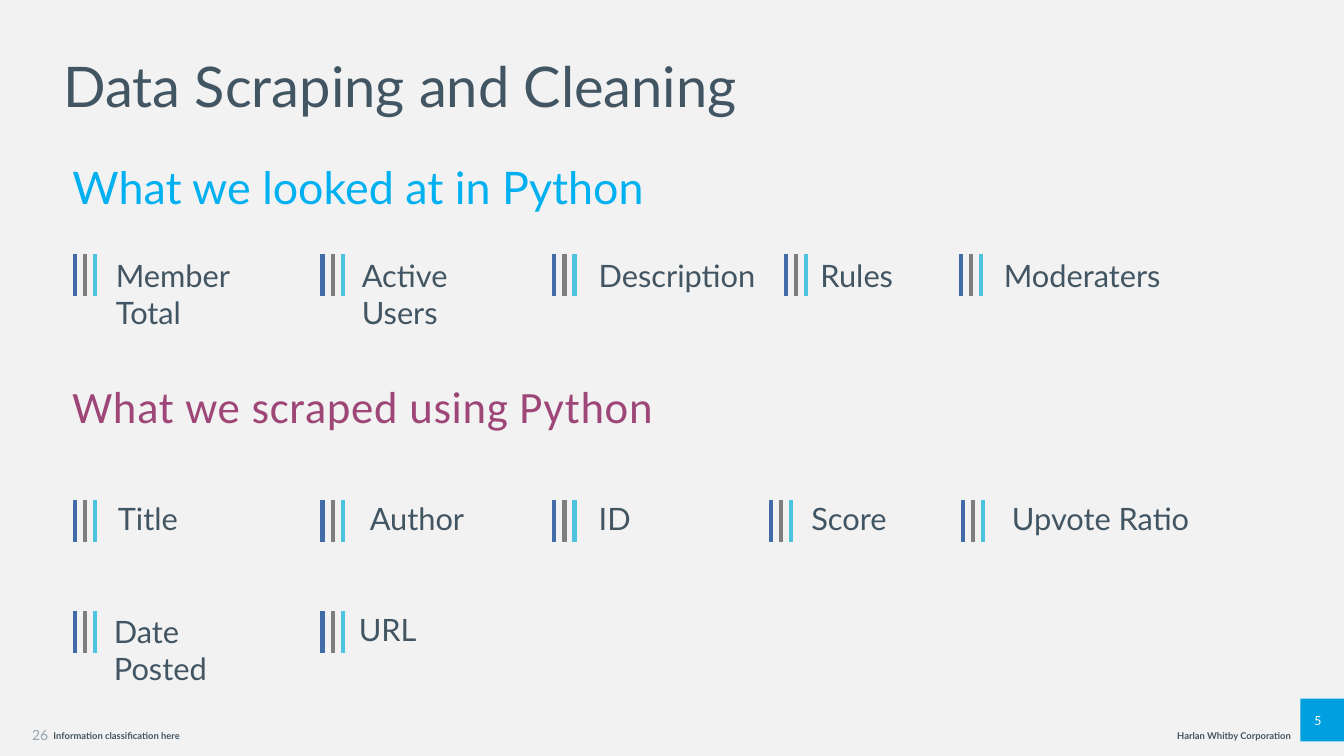
from dataclasses import dataclass

from pptx import Presentation
from pptx.dml.color import RGBColor
from pptx.enum.shapes import MSO_CONNECTOR, MSO_SHAPE
from pptx.enum.text import MSO_ANCHOR, MSO_AUTO_SIZE, PP_ALIGN
from pptx.oxml.ns import qn
from pptx.util import Pt

STRAIGHT, RECTANGLE = MSO_CONNECTOR.STRAIGHT, MSO_SHAPE.RECTANGLE
TOP, MIDDLE = MSO_ANCHOR.TOP, MSO_ANCHOR.MIDDLE
LEFT, RIGHT, NO_FIT = PP_ALIGN.LEFT, PP_ALIGN.RIGHT, MSO_AUTO_SIZE.NONE


# Content: all lengths in points
TITLE = "Data Scraping and Cleaning"
LOOKED_AT = "What we looked at in Python"
SCRAPED = "What we scraped using Python"
CLASSIFICATION = "Information classification here"
COMPANY = "Harlan Whitby Corporation"
TEMPLATE_NUMBER, PAGE_NUMBER = "26", "5"

# Each row: bars top, then (label, bars left, label left, label top, label width)
FIELD_ROWS = [
    (181.4, [("Member Total", 53.3, 82.8, 183.6, 126),
             ("Active Users", 230.4, 258.5, 183.6, 115.2),
             ("Description", 396, 427.7, 183.6, 115.2),
             ("Rules", 561.6, 586.1, 183.6, 115.2),
             ("Moderaters", 686.2, 717.1, 183.6, 115.2)]),
    (357.1, [("Title", 53.3, 84.2, 357.1, 115.2),
             ("Author", 230.4, 264.2, 357.1, 115.2),
             ("ID", 396, 427.7, 357.1, 115.2),
             ("Score", 550.8, 579.6, 357.1, 115.2),
             ("Upvote Ratio", 687.6, 722.9, 357.1, 160.6)]),
    (436.3, [("Date Posted", 53.3, 81.4, 437.8, 115.2),
             ("URL", 230.4, 256.3, 436.3, 115.2)]),
]
BAR_PITCH, BAR_HEIGHT, LABEL_HEIGHT = 7.2, 30.4, 37.4


@dataclass(frozen=True)
class Theme:
    background: str = "F2F2F2"
    ink: str = "425563"
    muted: str = "98A4AE"
    blue: str = "00B0F0"
    plum: str = "9E4677"
    badge: str = "009FDF"
    white: str = "FFFFFF"
    bars: tuple = ("426CA9", "7E7E7E", "4EC3DF")
    main_font: str = "Lato"
    second_font: str = "Calibri"
    title_size: float = 40
    heading_size: float = 32
    label_size: float = 22
    number_size: float = 10
    footer_size: float = 6.7
    bar_width: float = 3


THEME = Theme()


def rgb(value):
    return RGBColor.from_string(value)


def write(shape, text, size, color, font=THEME.main_font, bold=False, align=LEFT,
          anchor=TOP, line_spacing=None, tracking=None, inset=(0, 0), wrap=True):
    frame = shape.text_frame
    frame.auto_size = NO_FIT
    frame.word_wrap = wrap
    frame.vertical_anchor = anchor
    frame.margin_left = frame.margin_right = Pt(inset[0])
    frame.margin_top = frame.margin_bottom = Pt(inset[1])
    frame.text = text
    paragraph = frame.paragraphs[0]
    paragraph.alignment = align
    if line_spacing:
        paragraph.line_spacing = line_spacing
    paragraph.font.name, paragraph.font.size = font, Pt(size)
    paragraph.font.bold, paragraph.font.color.rgb = bold, rgb(color)
    if tracking:
        paragraph.runs[0].font._element.set("spc", str(tracking))


def add_text(slide, box, text, size, color, **style):
    write(slide.shapes.add_textbox(*map(Pt, box)), text, size, color, **style)


def add_bars(slide, left, top):
    marker = slide.shapes.add_group_shape()
    for i, color in enumerate(THEME.bars):
        x = Pt(left + i * BAR_PITCH)
        bar = marker.shapes.add_connector(STRAIGHT, x, Pt(top), x, Pt(top + BAR_HEIGHT))
        bar.line.color.rgb = rgb(color)
        bar.line.width = Pt(THEME.bar_width)
        properties = bar._element.spPr
        properties.append(properties.makeelement(qn("a:effectLst"), {}))


def main():
    deck = Presentation()
    deck.slide_width, deck.slide_height = Pt(960), Pt(540)
    slide = deck.slides.add_slide(deck.slide_layouts[5])
    slide.background.fill.solid()
    slide.background.fill.fore_color.rgb = rgb(THEME.background)

    # Title and section headings
    heading = {"line_spacing": 0.9, "inset": (7.2, 3.6)}
    title = slide.shapes.title
    title.left, title.top, title.width, title.height = map(Pt, (38.2, 38.9, 884.9, 72))
    write(title, TITLE, THEME.title_size, THEME.ink, **heading)
    add_text(slide, (44.6, 115.2, 884.9, 72), LOOKED_AT,
             THEME.heading_size, THEME.blue, **heading)
    add_text(slide, (44.6, 271.4, 884.9, 72), SCRAPED, THEME.heading_size, THEME.plum,
             font=THEME.second_font, tracking=50, **heading)

    # Field names, each with its three bars
    for bars_top, fields in FIELD_ROWS:
        for name, bars_left, left, top, width in fields:
            add_bars(slide, bars_left, bars_top)
            add_text(slide, (left, top, width, LABEL_HEIGHT), name,
                     THEME.label_size, THEME.ink)

    # Footer
    footer = {"bold": True, "anchor": MIDDLE, "line_spacing": 0.95}
    add_text(slide, (634.3, 517.7, 288, 15.8), COMPANY,
             THEME.footer_size, THEME.ink, align=RIGHT, **footer)
    add_text(slide, (38.2, 517.7, 387.4, 15.8), CLASSIFICATION,
             THEME.footer_size, THEME.ink, **footer)
    add_text(slide, (23, 517.7, 15.1, 15.1), TEMPLATE_NUMBER,
             THEME.number_size, THEME.muted, anchor=MIDDLE, wrap=False)

    # Page number badge
    badge = slide.shapes.add_shape(RECTANGLE, *map(Pt, (928.8, 499, 31.2, 30.6)))
    badge.shadow.inherit = False
    badge.fill.solid()
    badge.fill.fore_color.rgb = rgb(THEME.badge)
    badge.line.fill.background()
    add_text(slide, (938.9, 508, 13, 13), PAGE_NUMBER, THEME.number_size,
             THEME.white, font=THEME.second_font, tracking=-20)

    deck.save("out.pptx")


if __name__ == "__main__":
    main()
